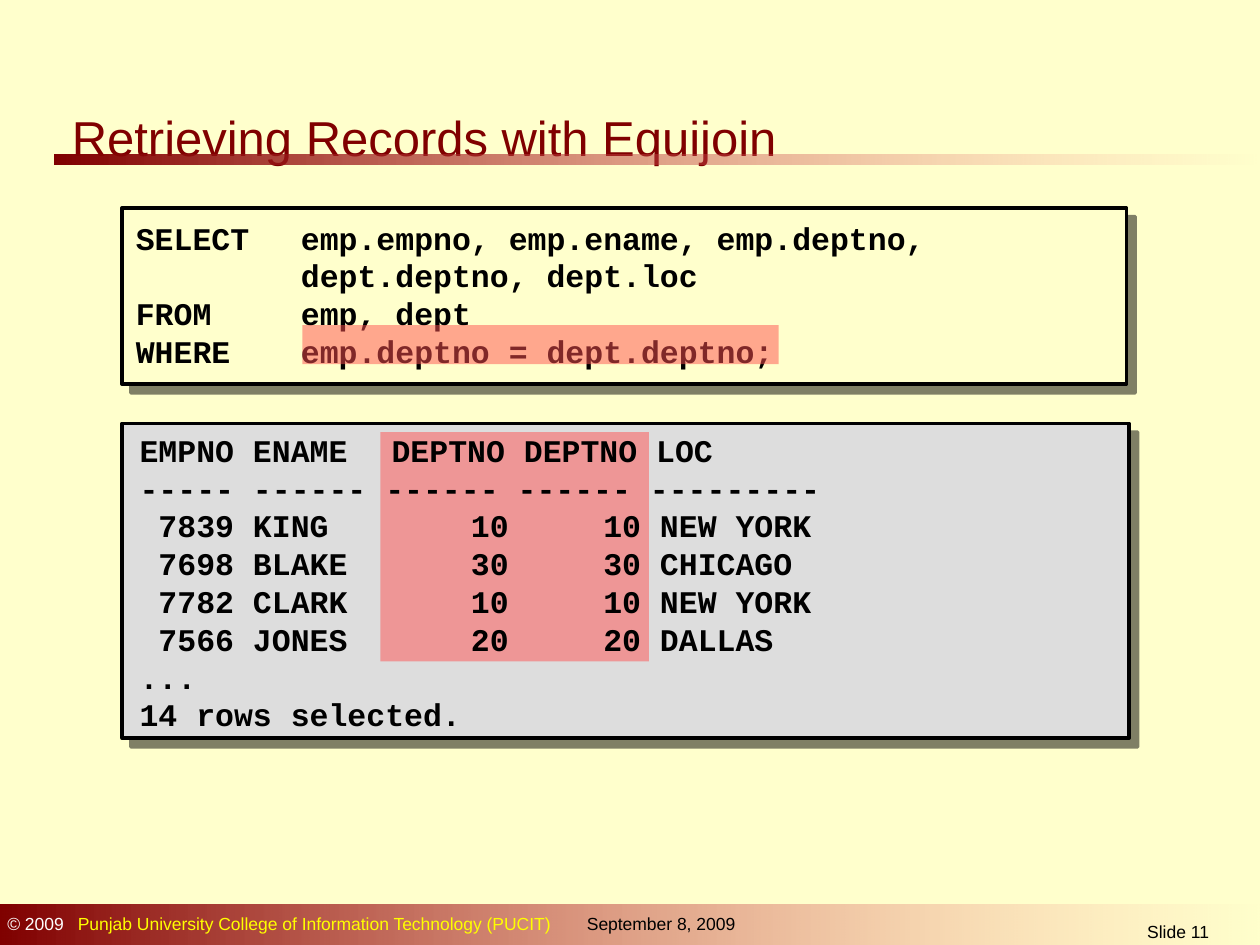
from lxml.etree import SubElement
from pptx import Presentation
from pptx.dml.color import RGBColor
from pptx.enum.shapes import MSO_SHAPE
from pptx.enum.text import MSO_ANCHOR, PP_ALIGN
from pptx.oxml.ns import qn
from pptx.util import Inches, Pt

# Content
TITLE = "Retrieving Records with Equijoin"
QUERY = [
    "SELECT \temp.empno, emp.ename, emp.deptno,\v\tdept.deptno, dept.loc",
    "FROM   \temp, dept",
    "WHERE  \temp.deptno = dept.deptno;",
]
RESULT = [
    "EMPNO ENAME \tDEPTNO DEPTNO LOC",
    "----- ------ ------ ------ ---------",
    " 7839 KING\t    \t10     10 NEW YORK",
    " 7698 BLAKE  \t    \t30     30 CHICAGO",
    " 7782 CLARK\t    \t10     10 NEW YORK",
    " 7566 JONES      \t20     20 DALLAS",
    "...",
    "14 rows selected.",
]
COPYRIGHT = ["© 2009", "\tPunjab University College of Information Technology (PUCIT)"]
DATE = "September 8, 2009"
NUMBER = "Slide 11"

# Places: left, top, width, height in inches
BARS = [(0.43, 1.23, 9.57, 0.08), (0, 7.18, 10.03, 0.35)]
PANELS = [((0.97, 1.65, 7.97, 1.4), "FFFFCC"), ((0.97, 3.36, 7.99, 2.5), "DDDDDD")]
COLUMN_MARK = (3.02, 3.43, 2.13, 1.82)
CONDITION_MARK = (2.4, 2.58, 3.78, 0.31)


def color(value):
    return RGBColor.from_string(value)


def inches(place):
    return [Inches(length) for length in place]


def add_alpha(element, percent):
    SubElement(element, qn("a:alpha"), val=str(percent * 1000))


def add_rectangle(place):
    box = page.shapes.add_shape(MSO_SHAPE.RECTANGLE, *inches(place))
    box.shadow.inherit = False
    box.line.fill.background()
    return box


def add_bar(place):
    fill = add_rectangle(place).fill
    fill.gradient()
    fill.gradient_angle = 0
    for stop, value in zip(fill.gradient_stops, ("800000", "FF8585")):
        stop.color.rgb = color(value)
    add_alpha(fill._xPr.findall(".//" + qn("a:srgbClr"))[-1], 0)


def add_panel(place, value):
    box = add_rectangle(place)
    box.fill.solid()
    box.fill.fore_color.rgb = color(value)
    box.line.color.rgb = color("000000")
    box.line.width = Pt(2)
    effects = box._element.spPr.find(qn("a:effectLst"))
    shadow = SubElement(effects, qn("a:outerShdw"), blurRad="0", dist=str(Pt(7.1)),
                        dir=str(45 * 60000), algn="ctr", rotWithShape="0")
    add_alpha(SubElement(shadow, qn("a:srgbClr"), val="000000"), 50)


def add_mark(place):
    box = add_rectangle(place)
    box.fill.solid()
    box.fill.fore_color.rgb = color("FF5050")
    add_alpha(box._element.spPr.find(".//" + qn("a:srgbClr")), 50)


def style(span, size, value, font="Arial", bold=False):
    span.font.size, span.font.name, span.font.bold = Pt(size), font, bold
    span.font.color.rgb = color(value)


def set_tabs(para, stops):
    tabs = SubElement(para._p.get_or_add_pPr(), qn("a:tabLst"))
    for stop in stops:
        SubElement(tabs, qn("a:tab"), pos=str(Inches(stop)), algn="l")


def add_text(place, text=""):
    frame = page.shapes.add_textbox(*inches(place)).text_frame
    frame.word_wrap = True
    frame.text = text
    return frame


def add_code(place, lines, stops):
    frame = add_text(place, "\n".join(lines))
    for para in frame.paragraphs:
        set_tabs(para, stops)
        for span in para.runs:
            style(span, 18, "000000", "Courier New", True)
    return frame


deck = Presentation()
deck.slide_width, deck.slide_height = Inches(10), Inches(7.5)
page = deck.slides.add_slide(deck.slide_layouts[5])
page.background.fill.solid()
page.background.fill.fore_color.rgb = color("FFFFCC")

# Title rule and footer band
for place in BARS:
    add_bar(place)

# Footer
para = add_text((-0.04, 7.2, 6.46, 0.27)).paragraphs[0]
set_tabs(para, [0.56])
for text, value in zip(COPYRIGHT, ("FFFFFF", "FFFF00")):
    span = para.add_run()
    span.text = text
    style(span, 10, value)
for place, text, align in [
    ((4.56, 7.2, 1.54, 0.27), DATE, PP_ALIGN.LEFT),
    ((8.31, 7.26, 2.08, 0.24), NUMBER, PP_ALIGN.CENTER),
]:
    para = add_text(place, text).paragraphs[0]
    para.alignment = align
    style(para.runs[0], 10, "000000")

# Panels
for place, value in PANELS:
    add_panel(place, value)

# Title
title = page.shapes.title
title.left, title.top, title.width, title.height = inches((0.47, 0.76, 9.05, 0.43))
frame = title.text_frame
frame.text = TITLE
frame.vertical_anchor = MSO_ANCHOR.TOP
frame.margin_top, frame.margin_bottom = Inches(0.09), 0
frame.paragraphs[0].alignment = PP_ALIGN.LEFT
style(frame.paragraphs[0].runs[0], 28, "800000")

# Query and result, with the joined columns and the condition marked
add_mark(COLUMN_MARK)
query = add_code((0.98, 1.62, 8, 1.43), QUERY, [1.31])
query.vertical_anchor = MSO_ANCHOR.MIDDLE
add_code((1.01, 3.37, 7.96, 2.5), RESULT, [2, 2.63, 3.38, 4.63])
add_mark(CONDITION_MARK)

deck.save("out.pptx")
